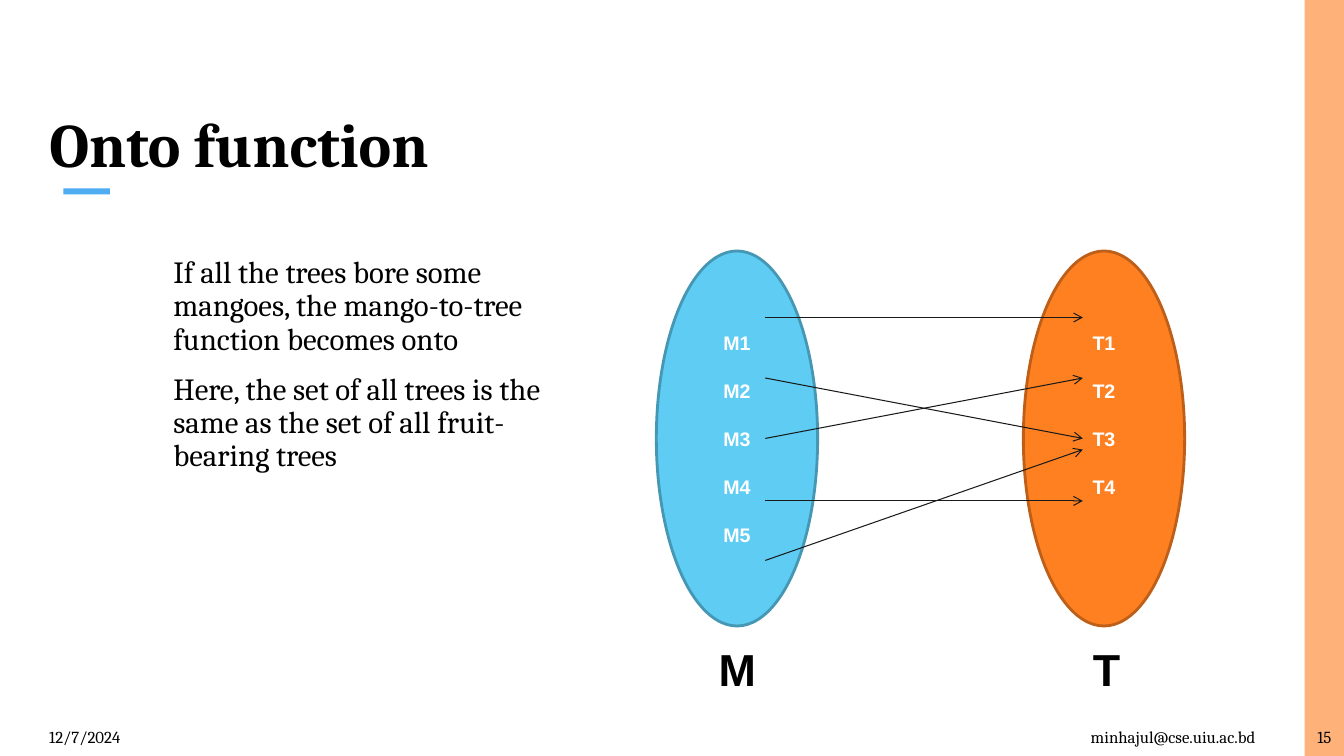
from dataclasses import dataclass

from lxml.etree import SubElement
from pptx import Presentation
from pptx.dml.color import RGBColor as RGB
from pptx.enum.shapes import MSO_CONNECTOR as CONN, MSO_SHAPE as SHAPE
from pptx.enum.text import MSO_ANCHOR as ANCHOR, PP_ALIGN as ALIGN
from pptx.oxml.ns import qn
from pptx.util import Inches, Pt


@dataclass(frozen=True)
class Theme:
    """Colours, fonts and type sizes."""
    serif: str = "Cambria"
    sans: str = "Arial"
    black: str = "000000"
    white: str = "FFFFFF"
    peach: str = "FEB179"
    accent: str = "4FACF3"
    arrow: str = "1A1A1A"
    blue: str = "5ECCF3"
    blue_edge: str = "4697B4"
    orange: str = "FF8021"
    orange_edge: str = "BD5F18"
    title: int = 44
    set_name: int = 32
    body: int = 22
    member: int = 14
    footer: int = 12


def assign(target, values):
    """Set each named attribute of the target."""
    for name, value in values.items():
        setattr(target, name, value)


class Deck:
    """Holds the theme and the current slide, and draws elements on it."""

    def __init__(self, prs, theme):
        self.t = theme
        self.s = prs.slides.add_slide(prs.slide_layouts[6])
        fill = self.s.background.fill
        fill.solid()
        fill.fore_color.rgb = RGB.from_string(theme.peach)

    def fill_text(self, tf, lines, size, font, color, bold=False, frame=None, para=None, gap=0):
        """Fill a text frame, with a gap in points between paragraphs."""
        assign(tf, {"word_wrap": True, **(frame or {})})
        for i, line in enumerate(lines):
            p = tf.add_paragraph() if i else tf.paragraphs[0]
            assign(p, {"space_before": Pt(gap if i else 0), **(para or {})})
            r = p.add_run()
            r.text = line
            assign(r.font, {"size": Pt(size), "name": font, "bold": bold})
            r.font.color.rgb = RGB.from_string(color)

    def text(self, box, lines, size, font=None, **style):
        """Add a text box."""
        sp = self.s.shapes.add_textbox(*map(Inches, box))
        self.fill_text(sp.text_frame, lines, size, font or self.t.serif, self.t.black, **style)

    def shape(self, kind, box, fill, edge=None):
        """Add a filled preset shape, outlined if an edge colour is given."""
        sp = self.s.shapes.add_shape(kind, *map(Inches, box))
        sp.shadow.inherit = False
        sp.fill.solid()
        sp.fill.fore_color.rgb = RGB.from_string(fill)
        if edge:
            sp.line.color.rgb = RGB.from_string(edge)
            sp.line.width = Pt(2)
        else:
            sp.line.fill.background()
        return sp

    def oval(self, box, members, fill, edge, empty_rows):
        """Add a set as an ellipse, leaving room for empty rows at its foot."""
        sp = self.shape(SHAPE.OVAL, box, fill, edge)
        frame = {"vertical_anchor": ANCHOR.MIDDLE,
                 "margin_bottom": Inches(0.05 + 0.47 * empty_rows)}
        self.fill_text(sp.text_frame, members, self.t.member, self.t.sans, self.t.white,
                       bold=True, frame=frame, para={"alignment": ALIGN.CENTER}, gap=17.5)

    def arrow(self, x1, y1, x2, y2):
        """Add a thin line with an open arrowhead at its end."""
        c = self.s.shapes.add_connector(CONN.STRAIGHT, *map(Inches, (x1, y1, x2, y2)))
        c.line.color.rgb = RGB.from_string(self.t.arrow)
        c.line.width = Pt(0.75)
        props = c.element.spPr
        SubElement(props.find(qn("a:ln")), qn("a:tailEnd"), type="arrow")
        SubElement(props, qn("a:effectLst"))


def main():
    """Build the slide and save it."""
    prs = Presentation()
    assign(prs, {"slide_width": Inches(13.33), "slide_height": Inches(7.5)})
    t = Theme()
    deck = Deck(prs, t)

    deck.shape(SHAPE.RECTANGLE, (0, 0, 12.94, 7.5), t.white)
    deck.shape(SHAPE.RECTANGLE, (0.63, 1.87, 0.46, 0.06), t.accent)
    deck.text((0.39, 0.39, 12.15, 1.45), ["Onto function"], t.title, bold=True,
              frame={"vertical_anchor": ANCHOR.BOTTOM}, para={"line_spacing": 0.9})
    deck.text((1.12, 2.5, 4.9, 4.4), [
        "If all the trees bore some mangoes, the mango-to-tree function becomes onto",
        "Here, the set of all trees is the same as the set of all fruit-bearing trees",
    ], t.body, frame={"margin_left": Inches(0.6)}, para={"line_spacing": 0.9}, gap=12)

    for left, width, words, align in (
        (0.39, 3, "12/7/2024", ALIGN.LEFT),
        (8.05, 4.5, "minhajul@cse.uiu.ac.bd", ALIGN.RIGHT),
        (12.94, 0.39, "15", ALIGN.CENTER),
    ):
        deck.text((left, 7.11, width, 0.39), [words], t.footer,
                  frame={"vertical_anchor": ANCHOR.MIDDLE}, para={"alignment": align})

    rows = 5
    for name, left, count, fill, edge, name_left, name_width in (
        ("M", 6.51, 5, t.blue, t.blue_edge, 7.03, 0.56),
        ("T", 10.15, 4, t.orange, t.orange_edge, 10.74, 0.42),
    ):
        members = [f"{name}{i}" for i in range(1, count + 1)]
        deck.oval((left, 2.49, 1.6, 3.72), members, fill, edge, rows - count)
        deck.text((name_left, 6.32, name_width, 0.64), [name], t.set_name, t.sans, bold=True,
                  frame={"word_wrap": False}, para={"alignment": ALIGN.CENTER})

    for start, end in ((3.15, 3.15), (3.75, 4.35), (4.35, 3.75), (4.97, 4.97), (5.56, 4.46)):
        deck.arrow(7.59, start, 10.74, end)

    prs.save("out.pptx")


if __name__ == "__main__":
    main()
